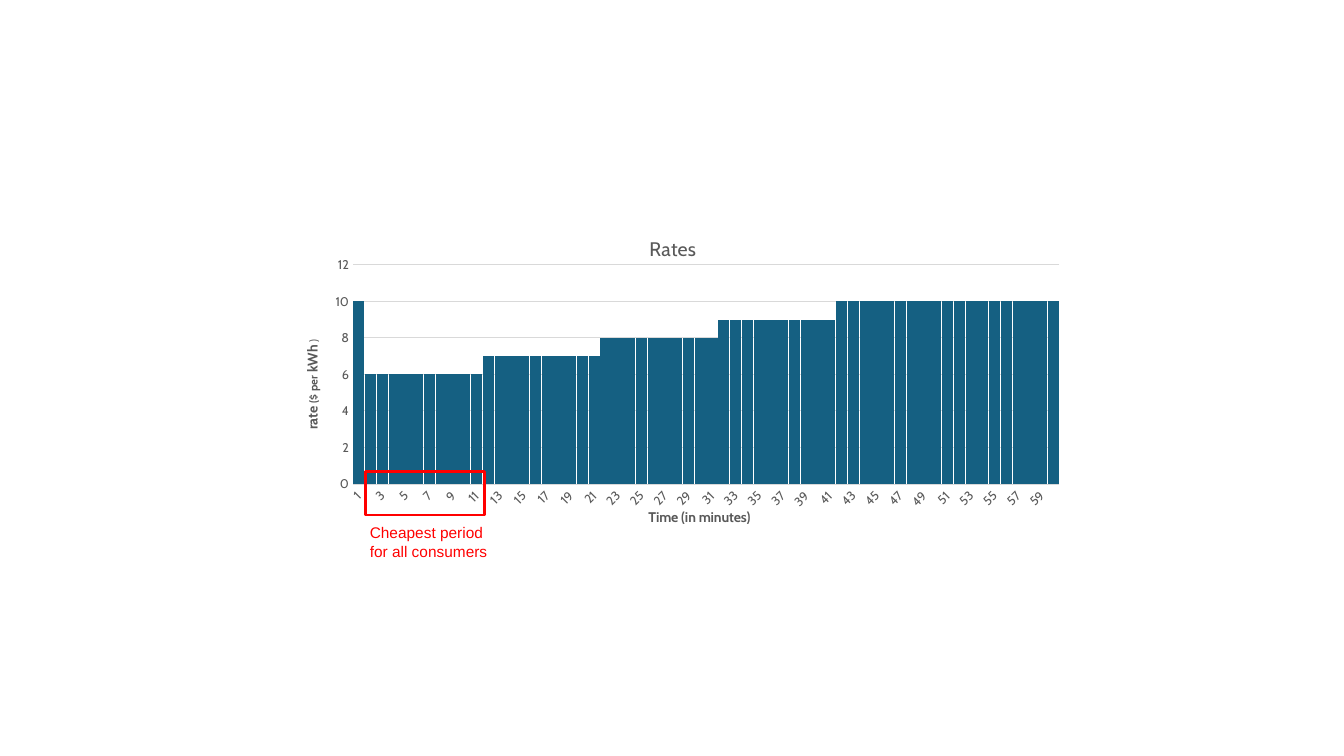
from dataclasses import dataclass

from lxml import etree
from pptx import Presentation
from pptx.chart.axis import CategoryAxis, ValueAxis
from pptx.chart.chart import Chart
from pptx.chart.data import CategoryChartData
from pptx.dml.color import RGBColor
from pptx.enum.chart import XL_CHART_TYPE, XL_TICK_MARK
from pptx.enum.shapes import MSO_SHAPE
from pptx.oxml.ns import qn
from pptx.slide import Slide
from pptx.text.text import Font, TextFrame
from pptx.util import Cm, Pt

COLUMNS = XL_CHART_TYPE.COLUMN_CLUSTERED
NO_TICKS = XL_TICK_MARK.NONE
RECTANGLE = MSO_SHAPE.RECTANGLE

CHART_FONT = "Cabin"
GREY = "595959"
LIGHT_GREY = "D9D9D9"
BLUE = "156082"
RED = "FF0000"


@dataclass
class Run:
    text: str
    size: float
    bold: bool = False


@dataclass
class Title:
    runs: list[Run]
    x: float
    y: float


RATES_TITLE = Title([Run("Rates", 14)], 0.468, 0.055)
TIME_TITLE = Title([Run("Time (in minutes)", 10, True)], 0.468, 0.885)
RATE_TITLE = Title(
    [Run("rate ", 10, True), Run("($ per ", 8, True), Run("kWh", 10, True), Run(" )", 8)],
    0.045, 0.375,
)

# Rate and the number of minutes it lasts
RATE_STEPS = [(10, 1), (6, 10), (7, 10), (8, 10), (9, 10), (10, 19)]


def rgb(value: str) -> RGBColor:
    return RGBColor.from_string(value)


def format_font(font: Font, *, size: float, color: str, name: str, bold: bool = False) -> None:
    font.size = Pt(size)
    font.bold = bold
    font.name = name
    font.color.rgb = rgb(color)


def add_text(frame: TextFrame, text: str, **style) -> None:
    run = frame.paragraphs[0].add_run()
    run.text = text
    format_font(run.font, **style)


def set_layout(parent, index: int, **values: str | float) -> None:
    """Give a chart part a manual layout, placed as child number index."""
    for old in parent.findall(qn("c:layout")):
        parent.remove(old)
    layout = etree.Element(qn("c:layout"))
    manual = etree.SubElement(layout, qn("c:manualLayout"))
    for tag, value in values.items():
        etree.SubElement(manual, qn(f"c:{tag}")).set("val", str(value))
    parent.insert(index, layout)


def write_title(target, title: Title) -> None:
    """Fill a chart or axis title and put it in its place."""
    for run in title.runs:
        add_text(target.text_frame, run.text, size=run.size, bold=run.bold,
                 color=GREY, name=CHART_FONT)
    set_layout(target._element, 1, xMode="edge", yMode="edge", x=title.x, y=title.y)


def style_axis(axis: CategoryAxis | ValueAxis, title: Title) -> None:
    axis.major_tick_mark = axis.minor_tick_mark = NO_TICKS
    format_font(axis.tick_labels.font, size=9, color=GREY, name=CHART_FONT)
    write_title(axis.axis_title, title)


def style_time_axis(axis: CategoryAxis) -> None:
    style_axis(axis, TIME_TITLE)
    axis.has_major_gridlines = False
    axis.format.line.color.rgb = rgb(LIGHT_GREY)
    axis.format.line.width = Pt(0.75)
    axis._element.txPr.bodyPr.set("rot", "-2700000")
    label_step = etree.Element(qn("c:tickLblSkip"))
    label_step.set("val", "2")
    axis._element.find(qn("c:noMultiLvlLbl")).addprevious(label_step)


def style_rate_axis(axis: ValueAxis) -> None:
    style_axis(axis, RATE_TITLE)
    axis.minimum_scale, axis.maximum_scale, axis.major_unit = 0, 12, 2
    axis.format.line.fill.background()
    axis.major_gridlines.format.line.color.rgb = rgb(LIGHT_GREY)
    axis.major_gridlines.format.line.width = Pt(0.75)


def add_rates_chart(slide: Slide) -> Chart:
    rates = [rate for rate, minutes in RATE_STEPS for _ in range(minutes)]
    data = CategoryChartData()
    data.categories = [str(minute) for minute in range(1, len(rates) + 1)]
    data.add_series("Series 1", rates)
    chart = slide.shapes.add_chart(
        COLUMNS, Cm(6.6), Cm(5.38), Cm(20.68), Cm(8.28), data).chart
    format_font(chart.font, size=10, color="000000", name=CHART_FONT)
    chart.has_legend = False
    write_title(chart.chart_title, RATES_TITLE)

    columns = chart.plots[0]
    columns.gap_width = 5
    columns.overlap = -27
    columns.vary_by_categories = False
    columns.series[0].format.fill.solid()
    columns.series[0].format.fill.fore_color.rgb = rgb(BLUE)

    style_time_axis(chart.category_axis)
    style_rate_axis(chart.value_axis)
    set_layout(chart._chartSpace.chart.plotArea, 0, layoutTarget="inner",
               xMode="edge", yMode="edge", x=0.111, y=0.156, w=0.861, h=0.668)
    return chart


def mark_cheapest_period(slide: Slide) -> None:
    period_frame = slide.shapes.add_shape(RECTANGLE, Cm(9.22), Cm(11.89), Cm(3), Cm(1.09))
    period_frame.shadow.inherit = False
    period_frame.fill.background()
    period_frame.line.color.rgb = rgb(RED)
    period_frame.line.width = Pt(2)

    caption = slide.shapes.add_textbox(Cm(9.07), Cm(13.06), Cm(3.66), Cm(1.19)).text_frame
    caption.word_wrap = True
    add_text(caption, "Cheapest period for all consumers", size=11, color=RED, name="Arial")


def main() -> None:
    presentation = Presentation()
    presentation.slide_width, presentation.slide_height = Cm(33.87), Cm(19.05)
    slide = presentation.slides.add_slide(presentation.slide_layouts[6])
    add_rates_chart(slide)
    mark_cheapest_period(slide)
    presentation.save("out.pptx")


if __name__ == "__main__":
    main()
